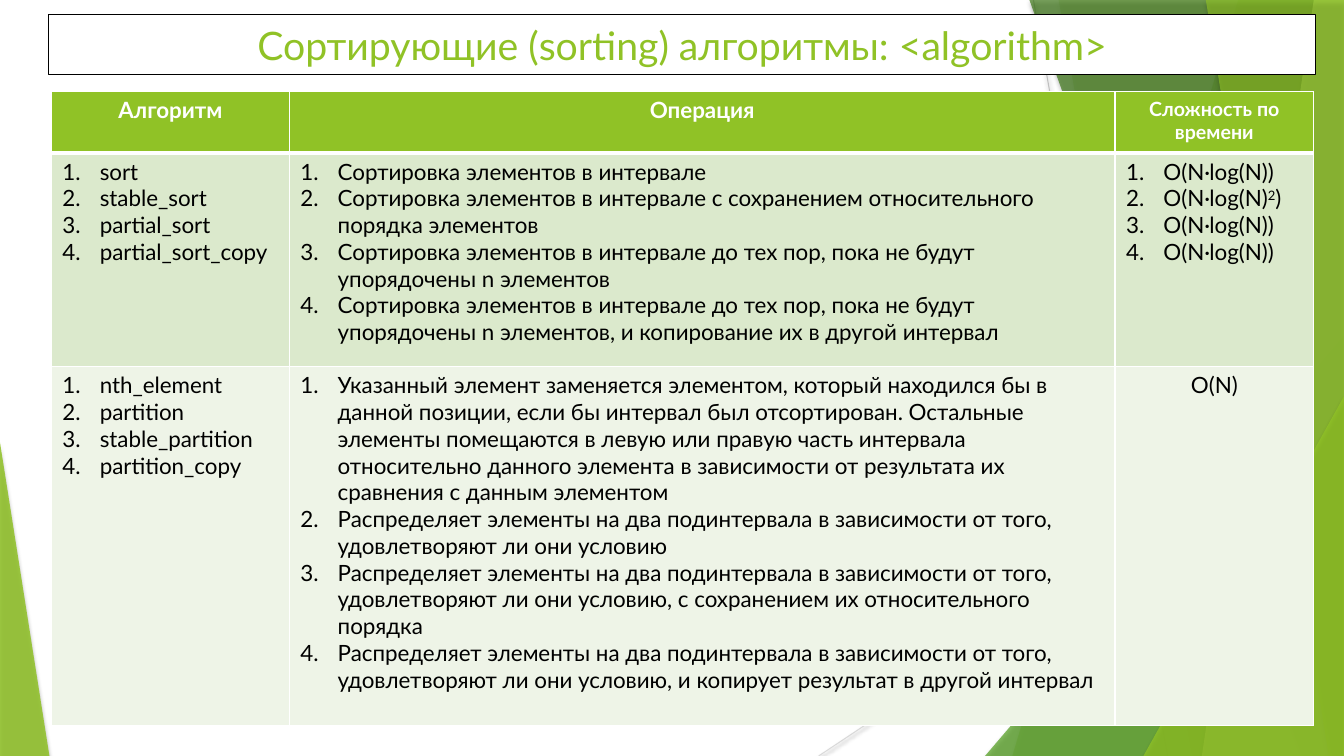
from dataclasses import dataclass

from lxml import etree
from pptx import Presentation
from pptx.dml.color import RGBColor
from pptx.enum.shapes import MSO_CONNECTOR, MSO_SHAPE
from pptx.enum.text import MSO_ANCHOR, PP_ALIGN
from pptx.oxml.ns import qn
from pptx.util import Inches, Pt

STRAIGHT = MSO_CONNECTOR.STRAIGHT
RECTANGLE, TRIANGLE = MSO_SHAPE.RECTANGLE, MSO_SHAPE.ISOSCELES_TRIANGLE
CENTER, MIDDLE = PP_ALIGN.CENTER, MSO_ANCHOR.MIDDLE

FONT = "Lato"
GREEN, WHITE, BLACK = "90C226", "FFFFFF", "000000"
WIDTH, HEIGHT = 13.33, 7.5
THIN, THICK = 0.96, 3


@dataclass
class Ray:
    start: tuple[float, float]
    end: tuple[float, float]
    color: str


@dataclass
class Band:
    """A strip running to the right edge of the slide."""
    top_left: float
    bottom_left: float
    color: str
    opacity: int


@dataclass
class Wedge:
    """A right triangle standing on the bottom edge of the slide."""
    left: float
    top: float
    width: float
    apex: float
    color: str
    opacity: int


@dataclass
class Row:
    height: float
    fill: str
    cells: list[list[str]]


RAYS = [Ray((10.25, 0), (11.58, HEIGHT), "BFBFBF"),
        Ray((WIDTH, 4.03), (8.12, HEIGHT), "D9D9D9")]
FACETS = [
    Band(12.28, 10.04, GREEN, 30),
    Band(10.5, 11.82, GREEN, 20),
    Wedge(9.77, 3.33, 3.56, 1, "54A021", 72),
    Band(10.21, 12.91, "3F7819", 70),
    Band(13.03, 11.92, "C0E474", 70),
    Band(11.96, 13.18, GREEN, 65),
    Wedge(11.34, 3.93, 1.99, 1, GREEN, 80),
    Wedge(0, 4.39, 0.49, 0, GREEN, 85),
]

COLUMN_WIDTHS = [2.36, 8.19, 1.97]
HEADINGS = [("Алгоритм", 16), ("Операция", 16), ("Сложность по времени", 14)]
HEADING_HEIGHT = 0.61
# Text between carets is superscript.
ROWS = [
    Row(2.12, "DBE9CC", [
        ["sort", "stable_sort", "partial_sort", "partial_sort_copy"],
        ["Сортировка элементов в интервале",
         "Сортировка элементов в интервале с сохранением относительного порядка элементов",
         "Сортировка элементов в интервале до тех пор, пока не будут упорядочены n элементов",
         "Сортировка элементов в интервале до тех пор, пока не будут упорядочены n элементов, "
         "и копирование их в другой интервал"],
        ["O(N·log(N))", "O(N·log(N)^2^)", "O(N·log(N))", "O(N·log(N))"],
    ]),
    Row(3.56, "EEF4E7", [
        ["nth_element", "partition", "stable_partition", "partition_copy"],
        ["Указанный элемент заменяется элементом, который находился бы в данной позиции, "
         "если бы интервал был отсортирован. Остальные элементы помещаются в левую или правую "
         "часть интервала относительно данного элемента в зависимости от результата их "
         "сравнения с данным элементом",
         "Распределяет элементы на два подинтервала в зависимости от того, "
         "удовлетворяют ли они условию",
         "Распределяет элементы на два подинтервала в зависимости от того, "
         "удовлетворяют ли они условию, с сохранением их относительного порядка",
         "Распределяет элементы на два подинтервала в зависимости от того, "
         "удовлетворяют ли они условию, и копирует результат в другой интервал"],
        ["O(N)"],
    ]),
]


def rgb(color: str) -> RGBColor:
    return RGBColor.from_string(color)


def add_xml(parent, tag: str, **attributes):
    return etree.SubElement(parent, qn(tag), attributes)


def add_shadow(shape, opacity: int, distance: float) -> None:
    effects = add_xml(shape._element.spPr, "a:effectLst")
    shadow = add_xml(effects, "a:outerShdw", blurRad=str(Pt(3.1)), dist=str(Pt(distance)),
                     dir="5400000", rotWithShape="0")
    tint = add_xml(shadow, "a:srgbClr", val=BLACK)
    add_xml(tint, "a:alpha", val=str(opacity * 1000))


def draw_ray(slide, ray: Ray) -> None:
    x1, y1, x2, y2 = map(Inches, ray.start + ray.end)
    line = slide.shapes.add_connector(STRAIGHT, x1, y1, x2, y2)
    line.line.color.rgb = rgb(ray.color)
    line.line.width = Pt(0.75)
    add_shadow(line, 38, 1.6)


def draw_facet(slide, facet: Band | Wedge) -> None:
    if isinstance(facet, Band):
        outline = slide.shapes.build_freeform(Inches(facet.top_left), 0, scale=1.0)
        corners = [(WIDTH, 0), (WIDTH, HEIGHT), (facet.bottom_left, HEIGHT)]
        outline.add_line_segments([(Inches(x), Inches(y)) for x, y in corners], close=True)
        shape = outline.convert_to_shape()
    else:
        shape = slide.shapes.add_shape(TRIANGLE, Inches(facet.left), Inches(facet.top),
                                       Inches(facet.width), Inches(HEIGHT - facet.top))
        shape.adjustments[0] = facet.apex
    shape.fill.solid()
    shape.fill.fore_color.rgb = rgb(facet.color)
    tint = shape._element.spPr.find(qn("a:solidFill")).find(qn("a:srgbClr"))
    add_xml(tint, "a:alpha", val=str(facet.opacity * 1000))
    shape.line.fill.background()
    add_shadow(shape, 35, 1.8)


def set_font(paragraph, size: float, color: str, bold: bool = False) -> None:
    font = paragraph.font
    font.name, font.size, font.bold = FONT, Pt(size), bold
    font.color.rgb = rgb(color)


def draw_title(slide) -> None:
    title = slide.shapes.add_shape(RECTANGLE, Inches(0.48), Inches(0.14),
                                   Inches(12.57), Inches(0.6))
    title.shadow.inherit = False
    title.fill.solid()
    title.fill.fore_color.rgb = rgb(WHITE)
    title.line.color.rgb = rgb(BLACK)
    title.line.width = Pt(0.75)
    title.text_frame.vertical_anchor = MIDDLE
    paragraph = title.text_frame.paragraphs[0]
    paragraph.text = "Сортирующие (sorting) алгоритмы: <algorithm>"
    paragraph.alignment = CENTER
    set_font(paragraph, 28, GREEN)


def style_cell(cell, fill: str, top: float, bottom: float) -> None:
    properties = cell._tc.get_or_add_tcPr()
    for side, width in (("L", THIN), ("R", THIN), ("T", top), ("B", bottom)):
        border = add_xml(properties, f"a:ln{side}", w=str(Pt(width)))
        add_xml(add_xml(border, "a:solidFill"), "a:srgbClr", val=WHITE)
    cell.fill.solid()
    cell.fill.fore_color.rgb = rgb(fill)


def number_paragraph(paragraph) -> None:
    properties = paragraph._p.get_or_add_pPr()
    properties.set("marL", str(Inches(0.38)))
    properties.set("indent", str(Inches(-0.37)))
    add_xml(add_xml(properties, "a:buClr"), "a:srgbClr", val=BLACK)
    add_xml(properties, "a:buAutoNum", type="arabicPeriod")


def write_items(cell, items: list[str]) -> None:
    """Number the items, or centre a single one."""
    for index, item in enumerate(items):
        frame = cell.text_frame
        paragraph = frame.add_paragraph() if index else frame.paragraphs[0]
        if len(items) > 1:
            number_paragraph(paragraph)
        else:
            paragraph.alignment = CENTER
        for position, piece in enumerate(item.split("^")):
            run = paragraph.add_run()
            run.text = piece
            if position % 2:
                run._r.get_or_add_rPr().set("baseline", "30000")
        set_font(paragraph, 16, BLACK)


def draw_table(slide) -> None:
    heights = [HEADING_HEIGHT] + [row.height for row in ROWS]
    table = slide.shapes.add_table(len(heights), len(COLUMN_WIDTHS), Inches(0.51), Inches(0.91),
                                   Inches(sum(COLUMN_WIDTHS)), Inches(sum(heights))).table
    for column, width in zip(table.columns, COLUMN_WIDTHS):
        column.width = Inches(width)
    for table_row, height in zip(table.rows, heights):
        table_row.height = Inches(height)
    for cell, (heading, size) in zip(table.rows[0].cells, HEADINGS):
        style_cell(cell, GREEN, THIN, THICK)
        write_heading = cell.text_frame.paragraphs[0]
        write_heading.text = heading
        write_heading.alignment = CENTER
        set_font(write_heading, size, WHITE, bold=True)
    for index, row in enumerate(ROWS, start=1):
        for cell, items in zip(table.rows[index].cells, row.cells):
            style_cell(cell, row.fill, THICK if index == 1 else THIN, THIN)
            write_items(cell, items)


def main() -> None:
    presentation = Presentation()
    presentation.slide_width, presentation.slide_height = Inches(WIDTH), Inches(HEIGHT)
    slide = presentation.slides.add_slide(presentation.slide_layouts[6])
    for ray in RAYS:
        draw_ray(slide, ray)
    for facet in FACETS:
        draw_facet(slide, facet)
    draw_title(slide)
    draw_table(slide)
    presentation.save("out.pptx")


if __name__ == "__main__":
    main()
